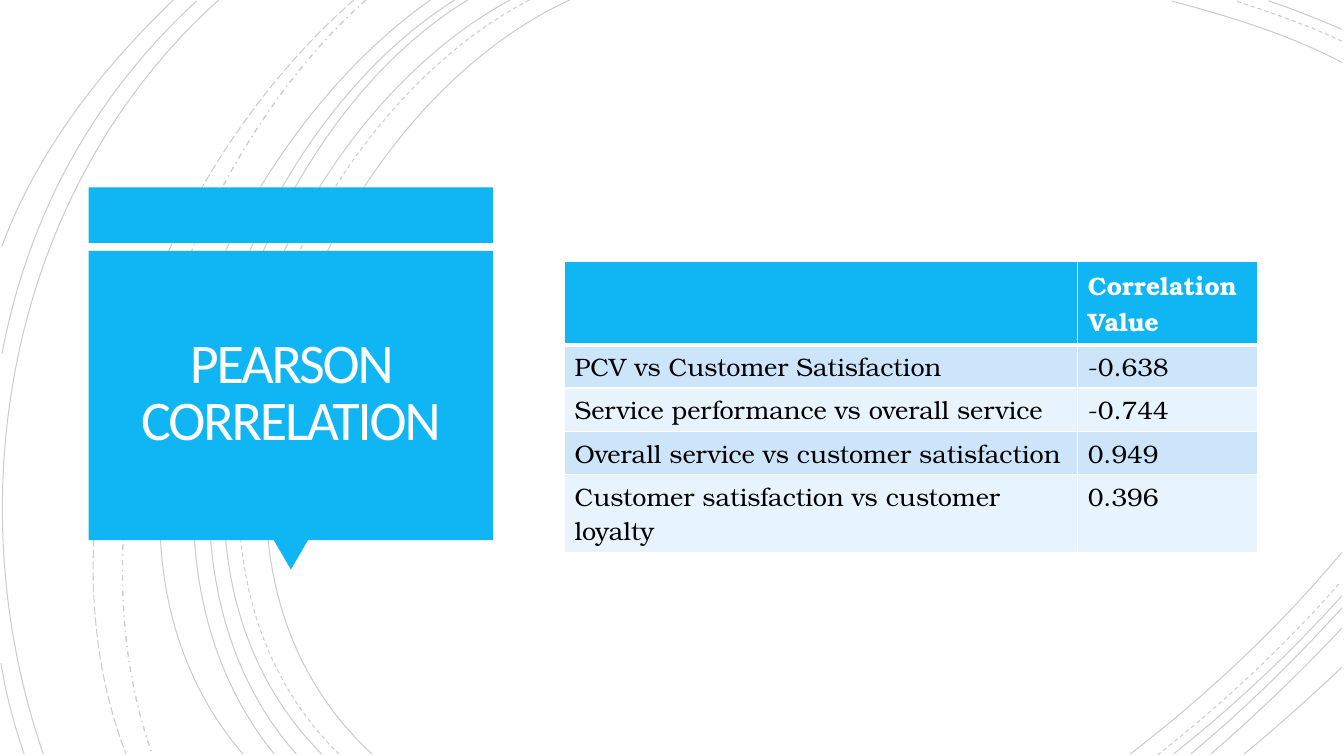
from lxml.etree import SubElement
from pptx import Presentation
from pptx.dml.color import RGBColor
from pptx.enum.dml import MSO_LINE
from pptx.enum.shapes import MSO_SHAPE
from pptx.enum.text import MSO_ANCHOR, PP_ALIGN
from pptx.oxml import parse_xml
from pptx.oxml.ns import nsdecls, qn
from pptx.util import Inches, Pt

BLUE = RGBColor(0x10, 0xB6, 0xF4)
BAND_DARK = RGBColor(0xCC, 0xE5, 0xFB)
BAND_LIGHT = RGBColor(0xE7, 0xF3, 0xFD)
WHITE = RGBColor(0xFF, 0xFF, 0xFF)
TITLE_WHITE = RGBColor(0xFF, 0xFE, 0xFF)
BLACK = RGBColor(0, 0, 0)

TITLE = "PEARSON CORRELATION"
TABLE_FONT = "TeX Gyre Bonum"
ROWS = [
    ("", "Correlation Value"),
    ("PCV vs Customer Satisfaction", "-0.638"),
    ("Service performance vs overall service", "-0.744"),
    ("Overall service vs customer satisfaction", "0.949"),
    ("Customer satisfaction vs customer loyalty", "0.396"),
]
COLUMN_WIDTHS = (5.09, 1.78)
# The header and the last row hold two lines of text
ROW_HEIGHTS = (0.83, 0.43, 0.43, 0.43, 0.77)

# Each arc is a cubic curve: start, two control points, end
SOLID_ARCS = [
    [(5.65, 0), (3.15, 1.15), (1.43, 5.4), (3.69, 7.48)],
    [(13.31, 0.62), (12.78, 0.34), (12.18, 0.16), (11.62, 0.01)],
    [(11.21, 7.48), (11.97, 6.9), (12.69, 6.22), (13.31, 5.48)],
    [(5.06, 0), (2.7, 1.27), (1.1, 5.37), (3.19, 7.48)],
    [(13.31, 0.29), (13.07, 0.19), (12.83, 0.09), (12.58, 0.01)],
    [(11.64, 7.48), (12.23, 7.01), (12.8, 6.48), (13.31, 5.91)],
    [(4.64, 0), (2.44, 1.33), (1.1, 5.41), (2.94, 7.48)],
    [(11.81, 7.48), (12.34, 7.04), (12.84, 6.55), (13.31, 6.03)],
    [(4.51, 0), (2.31, 1.38), (0.97, 5.33), (2.72, 7.48)],
    [(12.01, 7.48), (12.46, 7.09), (12.9, 6.67), (13.31, 6.23)],
    [(4.27, 0), (2.17, 1.47), (0.53, 5.29), (2.41, 7.48)],
    [(12.34, 7.48), (12.67, 7.21), (12.99, 6.92), (13.31, 6.62)],
    [(2.17, 0), (0.11, 1.85), (-0.46, 4.9), (0.43, 7.48)],
    [(1.95, 0.01), (0.92, 0.96), (0.28, 2.14), (0.02, 3.51)],
    [(0.01, 6.58), (0.06, 6.89), (0.14, 7.19), (0.24, 7.48)],
    [(1.72, 0), (1, 0.69), (0.37, 1.5), (0.02, 2.44)],
]
DASHED_ARCS = [
    [(5.25, 0), (2.85, 1.25), (1.23, 5.37), (3.36, 7.48)],
    [(13.31, 0.41), (12.97, 0.25), (12.6, 0.12), (12.25, 0.01)],
    [(11.48, 7.49), (12.13, 6.98), (12.75, 6.4), (13.3, 5.77)],
]
DASH_DOT_ARCS = [[(3.63, 0), (1.76, 1.66), (0.65, 5.09), (1.51, 7.48)]]
LONG_DASH_ARCS = [[(3.51, 0), (1.57, 1.69), (0.29, 4.99), (1.25, 7.48)]]
ARC_STYLES = [
    (SOLID_ARCS, MSO_LINE.SOLID, 0.75),
    (DASHED_ARCS, MSO_LINE.DASH, 0.75),
    (DASH_DOT_ARCS, MSO_LINE.DASH_DOT, 1),
    (LONG_DASH_ARCS, MSO_LINE.LONG_DASH, 0.75),
]

# Shape, left, top, width, height, rotation
TITLE_BLOCKS = [
    (MSO_SHAPE.RECTANGLE, 0.88, 1.86, 4.01, 0.55, 0),
    (MSO_SHAPE.ISOSCELES_TRIANGLE, 2.71, 5.35, 0.35, 0.3, 180),
    (MSO_SHAPE.RECTANGLE, 0.88, 2.49, 4.01, 2.87, 0),
]


def write_text(frame, text, *, font, size, color, bold=False,
               align=PP_ALIGN.LEFT, line_spacing=None, tracking=None):
    para = frame.paragraphs[0]
    para.alignment = align
    para.line_spacing = line_spacing
    span = para.add_run()
    span.text = text
    span.font.name = font
    span.font.size = Pt(size)
    span.font.bold = bold
    span.font.color.rgb = color
    if tracking is not None:
        span.font._element.set("spc", str(round(tracking * 100)))


def add_arc(page, points, dash, width):
    """Draw one translucent cubic curve."""
    start, *rest = [(Inches(x), Inches(y)) for x, y in points]
    builder = page.shapes.build_freeform(*start)
    builder.add_line_segments(rest, close=False)
    arc = builder.convert_to_shape()
    segments = list(arc._element.iter(qn("a:lnTo")))
    curve = SubElement(segments[0].getparent(), qn("a:cubicBezTo"))
    for segment in segments:
        curve.append(segment[0])
        segment.getparent().remove(segment)
    arc.shadow.inherit = False
    arc.fill.background()
    arc.line.color.rgb = BLACK
    arc.line.width = Pt(width)
    arc.line.dash_style = dash
    color = next(arc.line._ln.iter(qn("a:srgbClr")))
    SubElement(color, qn("a:alpha")).set("val", "20000")


def set_borders(cell, bottom):
    """Give a cell white borders, with its own bottom width in points."""
    properties = cell._tc.get_or_add_tcPr()
    for index, (side, width) in enumerate(zip("LRTB", (1, 1, 1, bottom))):
        properties.insert(index, parse_xml(
            f'<a:ln{side} {nsdecls("a")} w="{Pt(width)}"><a:solidFill>'
            f'<a:srgbClr val="{WHITE}"/></a:solidFill></a:ln{side}>'))


def add_title(page):
    for kind, left, top, width, height, rotation in TITLE_BLOCKS:
        block = page.shapes.add_shape(
            kind, Inches(left), Inches(top), Inches(width), Inches(height))
        block.rotation = rotation
        block.shadow.inherit = False
        block.fill.solid()
        block.fill.fore_color.rgb = BLUE
        block.line.fill.background()
    box = page.shapes.add_textbox(
        Inches(0.97), Inches(2.57), Inches(3.83), Inches(2.69))
    frame = box.text_frame
    frame.word_wrap = True
    frame.vertical_anchor = MSO_ANCHOR.MIDDLE
    frame.margin_left = frame.margin_right = Inches(0.25)
    frame.margin_top = frame.margin_bottom = Inches(0.25)
    write_text(frame, TITLE, font="Calibri", size=40, color=TITLE_WHITE,
               align=PP_ALIGN.CENTER, line_spacing=0.85, tracking=-1.5)


def add_correlation_table(page):
    table = page.shapes.add_table(
        len(ROWS), len(COLUMN_WIDTHS), Inches(5.6), Inches(2.59),
        Inches(sum(COLUMN_WIDTHS)), Inches(sum(ROW_HEIGHTS))).table
    for column, width in zip(table.columns, COLUMN_WIDTHS):
        column.width = Inches(width)
    for row, height in zip(table.rows, ROW_HEIGHTS):
        row.height = Inches(height)
    for row_index, texts in enumerate(ROWS):
        header = row_index == 0
        band = BAND_DARK if row_index % 2 else BAND_LIGHT
        for column_index, text in enumerate(texts):
            cell = table.cell(row_index, column_index)
            cell.fill.solid()
            cell.fill.fore_color.rgb = BLUE if header else band
            set_borders(cell, bottom=3 if header else 1)
            if text:
                write_text(cell.text_frame, text, font=TABLE_FONT, size=18,
                           color=WHITE if header else BLACK, bold=header)


def main():
    deck = Presentation()
    deck.slide_width, deck.slide_height = Inches(13.33), Inches(7.5)
    page = deck.slides.add_slide(deck.slide_layouts[6])
    for arcs, dash, width in ARC_STYLES:
        for points in arcs:
            add_arc(page, points, dash, width)
    add_title(page)
    add_correlation_table(page)
    deck.save("out.pptx")


if __name__ == "__main__":
    main()
